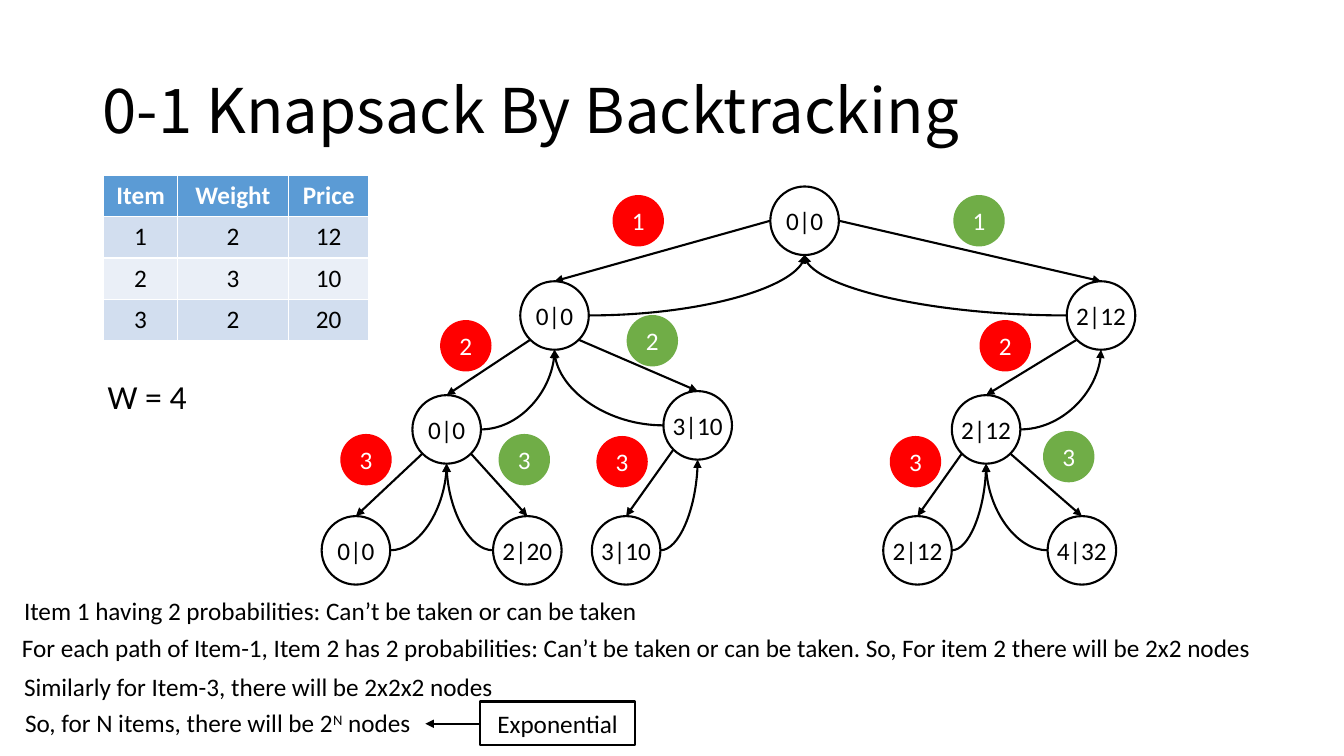
import lxml.etree
import pptx
import pptx.dml.color
import pptx.enum.shapes
import pptx.enum.text
import pptx.oxml.ns
import pptx.util

Inches, Pt = pptx.util.Inches, pptx.util.Pt
RGBColor = pptx.dml.color.RGBColor
Shape = pptx.enum.shapes.MSO_SHAPE
Link = pptx.enum.shapes.MSO_CONNECTOR
Align = pptx.enum.text.PP_ALIGN
Anchor = pptx.enum.text.MSO_ANCHOR
Fit = pptx.enum.text.MSO_AUTO_SIZE
qn = pptx.oxml.ns.qn

BLACK = RGBColor(0x00, 0x00, 0x00)
WHITE = RGBColor(0xFF, 0xFF, 0xFF)
RED = RGBColor(0xFF, 0x00, 0x00)
GREEN = RGBColor(0x70, 0xAD, 0x47)
BLUE = RGBColor(0x5B, 0x9B, 0xD5)
BANDS = RGBColor(0xEA, 0xEF, 0xF7), RGBColor(0xD2, 0xDE, 0xEF)

NODE, BADGE = 0.68, 0.51

# Connection sites of an ellipse: index, then offset from the centre in radii
SITES = {
    "top": (0, 0, -1),
    "left": (2, -1, 0),
    "low left": (3, -0.71, 0.71),
    "bottom": (4, 0, 1),
    "low right": (5, 0.71, 0.71),
    "right": (6, 1, 0),
}

# Tree nodes: label, centre x, centre y
NODES = {
    "root": ("0|0", 7.98, 2.19),
    "L": ("0|0", 5.5, 3.13),
    "R": ("2|12", 10.92, 3.13),
    "LL": ("0|0", 4.43, 4.26),
    "LR": ("3|10", 6.92, 4.22),
    "RL": ("2|12", 9.78, 4.26),
    "LLL": ("0|0", 3.53, 5.46),
    "LLR": ("2|20", 5.23, 5.46),
    "LRL": ("3|10", 6.21, 5.46),
    "RLL": ("2|12", 9.1, 5.46),
    "RLR": ("4|32", 10.73, 5.46),
}

# Item badges: item, colour, centre x, centre y
BADGES = [
    ("1", GREEN, 9.71, 2.19),
    ("1", RED, 6.33, 2.19),
    ("2", RED, 4.62, 3.43),
    ("3", RED, 3.63, 4.56),
    ("3", RED, 6.17, 4.58),
    ("2", RED, 9.97, 3.43),
    ("3", RED, 9.08, 4.58),
    ("2", GREEN, 6.47, 3.38),
    ("3", GREEN, 10.6, 4.53),
    ("3", GREEN, 5.2, 4.56),
]

ITEMS = [
    ("Item", "Weight", "Price"),
    ("1", "2", "12"),
    ("2", "3", "10"),
    ("3", "2", "20"),
]

NOTES = [
    (0.14, 5.86, 6.36, "Item 1 having 2 probabilities: Can’t be taken or can be taken"),
    (0.12, 6.22, 12.54, "For each path of Item-1, Item 2 has 2 probabilities: Can’t be taken "
                        "or can be taken. So, For item 2 there will be 2x2 nodes"),
    (0.14, 6.61, 4.9, "Similarly for Item-3, there will be 2x2x2 nodes"),
    (0.15, 6.97, 4.08, "So, for N items, there will be 2^N^ nodes"),
]


def write(frame, text, size=18, color=BLACK, font="Calibri", bold=False, align=Align.LEFT):
    """Fill the first paragraph; text between carets is superscript."""
    para = frame.paragraphs[0]
    para.alignment = align
    for i, part in enumerate(text.split("^")):
        run = para.add_run()
        run.text = part
        run.font.size = Pt(size)
        run.font.name = font
        run.font.bold = bold
        run.font.color.rgb = color
        if i % 2:
            run._r.get_or_add_rPr().set("baseline", "30000")
    return para


class Board:
    def __init__(self, slide, width=1.5):
        self.shapes = slide.shapes
        self.width = Pt(width)

    def label(self, x, y, w, h, text, **style):
        frame = self.shapes.add_textbox(Inches(x), Inches(y), Inches(w), Inches(h)).text_frame
        frame.word_wrap = False
        frame.auto_size = Fit.SHAPE_TO_FIT_TEXT
        return write(frame, text, **style)

    def title(self, text):
        box = self.shapes.add_textbox(Inches(0.92), Inches(0.4), Inches(11.5), Inches(1.45))
        box.text_frame.word_wrap = True
        box.text_frame.vertical_anchor = Anchor.MIDDLE
        write(box.text_frame, text, size=44, font="Noto Sans CJK SC").line_spacing = 0.9

    def table(self, x, y, rows, widths, height):
        grid = self.shapes.add_table(len(rows), len(widths), Inches(x), Inches(y),
                                     Inches(sum(widths)), Inches(height * len(rows))).table
        for col, w in zip(grid.columns, widths):
            col.width = Inches(w)
        for r, row in enumerate(rows):
            for c, text in enumerate(row):
                cell = grid.cell(r, c)
                cell.fill.solid()
                cell.fill.fore_color.rgb = BANDS[r % 2] if r else BLUE
                write(cell.text_frame, text, color=BLACK if r else WHITE,
                      bold=r == 0, align=Align.CENTER)

    def shape(self, kind, x, y, w, h, text, fill=None):
        """Outlined with black text, or filled with white text."""
        item = self.shapes.add_shape(kind, Inches(x), Inches(y), Inches(w), Inches(h))
        item.shadow.inherit = False
        if fill is None:
            item.fill.background()
            item.line.color.rgb = BLACK
            item.line.width = self.width
        else:
            item.fill.solid()
            item.fill.fore_color.rgb = fill
            item.line.fill.background()
        frame = item.text_frame
        frame.word_wrap = False
        frame.vertical_anchor = Anchor.MIDDLE
        frame.margin_left = frame.margin_right = frame.margin_top = frame.margin_bottom = 0
        write(frame, text, color=WHITE if fill else BLACK, align=Align.CENTER)
        return item

    def disc(self, x, y, size, text, fill=None):
        """Circle around a centre point."""
        return self.shape(Shape.OVAL, x - size / 2, y - size / 2, size, size, text, fill)

    def arrow(self, x1, y1, x2, y2, kind=Link.STRAIGHT):
        line = self.shapes.add_connector(kind, Inches(x1), Inches(y1), Inches(x2), Inches(y2))
        line.line.color.rgb = BLACK
        line.line.width = self.width
        props = line._element.spPr
        lxml.etree.SubElement(props.find(qn("a:ln")), qn("a:tailEnd"), type="triangle")
        lxml.etree.SubElement(props, qn("a:effectLst"))
        return line

    def join(self, discs, start, end, kind=Link.STRAIGHT):
        """Glue an arrow between two (node, site) pairs."""
        points, glue = [], []
        for tag, (node, site) in zip(("a:stCxn", "a:endCxn"), (start, end)):
            index, dx, dy = SITES[site]
            _, x, y = NODES[node]
            points += [x + dx * NODE / 2, y + dy * NODE / 2]
            glue.append((tag, discs[node].shape_id, index))
        line = self.arrow(*points, kind)
        if kind == Link.CURVE:
            line._element.spPr.find(qn("a:prstGeom")).set("prst", "curvedConnector2")
        holder = line._element.find(".//" + qn("p:cNvCxnSpPr"))
        for tag, ident, index in glue:
            lxml.etree.SubElement(holder, qn(tag), id=str(ident), idx=str(index))


def main():
    deck = pptx.Presentation()
    deck.slide_width, deck.slide_height = Inches(13.33), Inches(7.5)
    board = Board(deck.slides.add_slide(deck.slide_layouts[6]))

    board.title("0-1 Knapsack By Backtracking")
    board.table(1.03, 1.74, ITEMS, (0.73, 1.1, 0.8), 0.41)
    board.label(0.97, 3.68, 0.99, 0.5, "W = 4", size=24)

    discs = {key: board.disc(x, y, NODE, text) for key, (text, x, y) in NODES.items()}
    for key in NODES:
        if key == "root":
            continue
        above = key[:-1] or "root"
        side, back = ("left", "right") if key[-1] == "L" else ("right", "left")
        leave = side if above == "root" else "low " + side
        board.join(discs, (above, leave), (key, "top"))
        board.join(discs, (key, back), (above, "bottom"), Link.CURVE)
    for text, color, x, y in BADGES:
        board.disc(x, y, BADGE, text, color)

    for x, y, w, text in NOTES:
        board.label(x, y, w, 0.4, text)
    board.shape(Shape.RECTANGLE, 4.76, 6.96, 1.54, 0.43, "Exponential")
    board.arrow(4.76, 7.18, 4.22, 7.18)

    deck.save("out.pptx")


if __name__ == "__main__":
    main()
